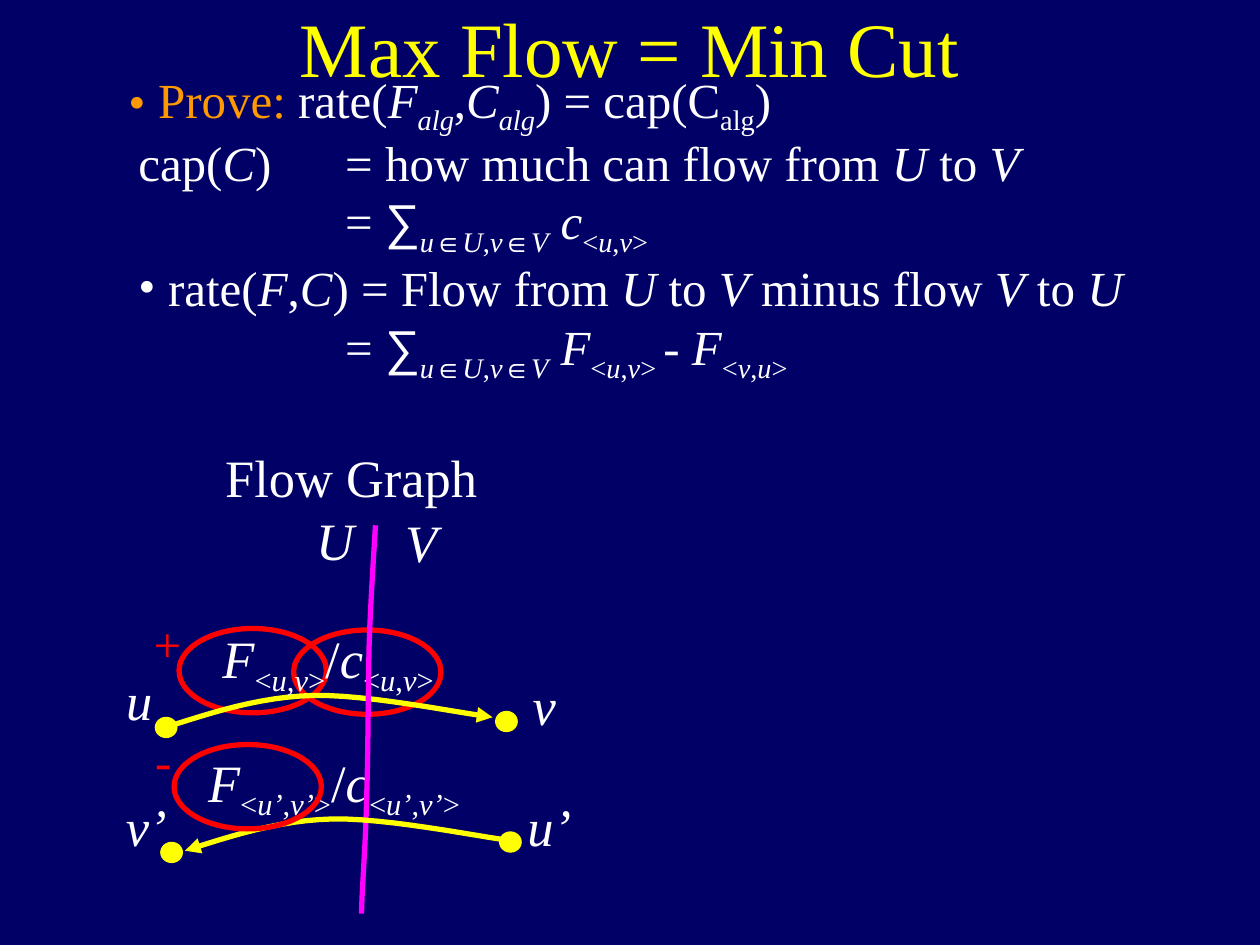
"""Build the slide on the proof that maximum flow equals minimum cut."""
from dataclasses import dataclass
from typing import Optional

import pptx
import pptx.dml.color
import pptx.enum.shapes
import pptx.enum.text
import pptx.oxml
import pptx.oxml.ns
import pptx.util
from lxml import etree
from pptx.util import Cm

COLORS = {
    "background": "000066",
    "text": "FFFFFF",
    "flow": "FFFF00",
    "accent": "FF9900",
    "mark": "FF0000",
    "cut": "FF00FF",
}
SERIF, SYMBOL = "Times New Roman", "Arial"
ALIGN = pptx.enum.text.PP_ALIGN
BREAK = "\n"
RING_SIZE = (2.97, 1.7)
DOT_SIZE = (0.46, 0.43)
ARC = [(0.94, -0.3), (1.88, -0.61), (2.97, -0.64), (4.06, -0.66), (5.84, -0.3), (6.58, -0.2)]
CUT_START = (7.29, 18.42)
CUT = [(0, -0.39), (0.08, -1.35), (0.1, -2.24), (0.13, -3.13), (0.13, -4.09),
       (0.15, -5.34), (0.18, -6.28), (0.25, -7.32), (0.28, -7.83)]


@dataclass
class Piece:
    text: str
    italic: bool = False
    sub: bool = False
    font: str = SERIF
    color: str = "text"


@dataclass
class Line:
    pieces: list[Piece]
    bullet: Optional[str] = None
    tab: Optional[float] = None


@dataclass
class Box:
    left: float
    top: float
    width: float
    height: float
    lines: list[Line]
    size: int = 30
    align: ALIGN = ALIGN.CENTER
    wrap: bool = False


@dataclass
class FlowEdge:
    start: tuple[float, float]
    dots: list[tuple[float, float]]
    names: list[Box]
    arrow_end: str


def var(text: str) -> Piece:
    return Piece(text, italic=True)


def subvar(text: str) -> Piece:
    return Piece(text, italic=True, sub=True)


def subscript(text: str) -> Piece:
    return Piece(text, sub=True)


def on_edge(symbol: str, source: str, target: str, closing: str = ">") -> list[Piece]:
    return [var(symbol), subscript("<"), subvar(source), subscript(","),
            subvar(target), subscript(closing)]


def sum_over_cut() -> list[Piece]:
    member = Piece("∈", sub=True, font=SYMBOL)
    return [Piece("\t= "), Piece("∑", font=SYMBOL), subvar("u"), member, subvar("U"),
            subscript(","), subvar("v"), member, subvar("V"), var(" ")]


def flow_over_capacity(source: str, target: str) -> list[Line]:
    return [Line(on_edge("F", source, target) + [Piece("/")] + on_edge("c", source, target))]


def name(left: float, top: float, width: float, text: str) -> Box:
    return Box(left, top, width, 1.52, [Line([var(text)])])


def sign(left: float, top: float, width: float, text: str) -> Box:
    return Box(left, top, width, 1.45, [Line([Piece(text, color="mark")])], 28)


def rgb(color: str) -> pptx.dml.color.RGBColor:
    return pptx.dml.color.RGBColor.from_string(COLORS[color])


def format_paragraph(paragraph, line: Line) -> None:
    properties = paragraph._p.get_or_add_pPr()
    qn = pptx.oxml.ns.qn
    if line.bullet:
        properties.set("marL", str(Cm(0.6)))
        properties.set("indent", str(-Cm(0.6)))
        bullet_color = etree.SubElement(properties, qn("a:buClr"))
        etree.SubElement(bullet_color, qn("a:srgbClr"), val=COLORS[line.bullet])
        etree.SubElement(properties, qn("a:buFont"), typeface=SERIF)
        etree.SubElement(properties, qn("a:buChar"), char="•")
    if line.tab:
        tabs = etree.SubElement(properties, qn("a:tabLst"))
        etree.SubElement(tabs, qn("a:tab"), pos=str(Cm(line.tab)), algn="l")


def add_text(slide, box: Box) -> None:
    textbox = slide.shapes.add_textbox(Cm(box.left), Cm(box.top), Cm(box.width), Cm(box.height))
    frame = textbox.text_frame
    frame.word_wrap = box.wrap
    frame.auto_size = pptx.enum.text.MSO_AUTO_SIZE.SHAPE_TO_FIT_TEXT
    if box.align == ALIGN.CENTER:
        frame.margin_left = frame.margin_right = Cm(0.1)
    for index, line in enumerate(box.lines):
        paragraph = frame.add_paragraph() if index else frame.paragraphs[0]
        format_paragraph(paragraph, line)
        paragraph.alignment = box.align
        for piece in line.pieces:
            if piece.text == BREAK:
                paragraph.add_line_break()
                continue
            run = paragraph.add_run()
            run.text = piece.text
            run.font.size = pptx.util.Pt(box.size)
            run.font.name = piece.font
            run.font.italic = piece.italic
            run.font.color.rgb = rgb(piece.color)
            if piece.sub:
                run._r.get_or_add_rPr().set("baseline", "-25000")


def add_ellipse(slide, corner: tuple[float, float], size: tuple[float, float], filled: bool) -> None:
    oval = pptx.enum.shapes.MSO_SHAPE.OVAL
    ellipse = slide.shapes.add_shape(oval, *map(Cm, corner), *map(Cm, size))
    ellipse.shadow.inherit = False
    if filled:
        ellipse.fill.solid()
        ellipse.fill.fore_color.rgb = rgb("flow")
        ellipse.line.fill.background()
    else:
        ellipse.fill.background()
        ellipse.line.color.rgb = rgb("mark")
        ellipse.line.width = pptx.util.Pt(3)


def bezier(a: float, b: float, c: float, d: float, t: float) -> float:
    return (1 - t) ** 3 * a + 3 * (1 - t) ** 2 * t * b + 3 * (1 - t) * t ** 2 * c + t ** 3 * d


def add_curve(slide, start: tuple[float, float], offsets: list[tuple[float, float]],
              color: str, arrow_end: Optional[str] = None, steps: int = 12) -> None:
    controls = [start] + [(start[0] + dx, start[1] + dy) for dx, dy in offsets]
    points = [
        tuple(Cm(bezier(*axis, step / steps)) for axis in zip(*controls[first:first + 4]))
        for first in range(0, len(offsets), 3)
        for step in range(1, steps + 1)
    ]
    builder = slide.shapes.build_freeform(Cm(start[0]), Cm(start[1]))
    builder.add_line_segments(points, close=False)
    curve = builder.convert_to_shape()
    curve.shadow.inherit = False
    curve.fill.background()
    curve.line.color.rgb = rgb(color)
    curve.line.width = pptx.util.Pt(3)
    if arrow_end:
        etree.SubElement(curve.line._get_or_add_ln(), pptx.oxml.ns.qn(arrow_end), type="triangle")


def add_flow_edge(slide, edge: FlowEdge) -> None:
    for corner in edge.dots:
        add_ellipse(slide, corner, DOT_SIZE, True)
    add_curve(slide, edge.start, ARC, "flow", edge.arrow_end)
    for box in edge.names:
        add_text(slide, box)


def main() -> None:
    deck = pptx.Presentation()
    deck.slide_width, deck.slide_height = Cm(25.4), Cm(19.05)
    slide = deck.slides.add_slide(deck.slide_layouts[6])
    slide.background.fill.solid()
    slide.background.fill.fore_color.rgb = rgb("background")

    capacity = [Piece("cap("), var("C"), Piece(")\t= how much can flow from "), var("U"),
                Piece(" to "), var("V"), Piece(BREAK), *sum_over_cut(), *on_edge("c", "u", "v")]
    rate = [Piece("rate("), var("F"), Piece(","), var("C"), Piece(") = Flow from "), var("U"),
            Piece(" to "), var("V"), Piece(" minus flow "), var("V"), Piece(" to "), var("U")]
    net_flow = [*sum_over_cut(), *on_edge("F", "u", "v", "> "), Piece("- "), *on_edge("F", "v", "u")]
    claim = [Piece("Prove: ", color="accent"), Piece("rate("), var("F"), subvar("alg"), Piece(","),
             var("C"), subvar("alg"), Piece(") = cap(C"), subscript("alg"), Piece(")")]
    title = [Piece("Max Flow = Min Cut", color="flow")]
    forward = FlowEdge((3.35, 14.66), [(3.12, 14.45), (9.98, 14.33)],
                       [name(2.29, 13.34, 1.04, "u"), name(10.49, 13.44, 0.97, "v")], "a:tailEnd")
    backward = FlowEdge((3.73, 17.15), [(3.23, 16.97), (10.06, 16.76)],
                        [name(2.29, 15.88, 1.32, "v’"), name(10.39, 15.88, 1.37, "u’")], "a:headEnd")

    add_text(slide, Box(2.54, 2.54, 20.96, 5.33,
                        [Line(capacity, tab=4.17), Line(rate, bullet="text"), Line(net_flow, tab=4.17)],
                        28, ALIGN.LEFT, True))
    add_text(slide, Box(1.9, -0.12, 21.59, 1.96, [Line(title)], 44, wrap=True))
    add_text(slide, Box(2.34, 1.27, 22.02, 1.6, [Line(claim, bullet="accent")], 28, ALIGN.LEFT, True))
    for corner in [(5.92, 12.7), (3.61, 12.67)]:
        add_ellipse(slide, corner, RING_SIZE, False)
    add_text(slide, sign(2.84, 12.24, 1.07, "+"))
    add_text(slide, Box(3.94, 14.99, 5.59, 1.7, flow_over_capacity("u’", "v’")))
    add_flow_edge(slide, forward)
    add_text(slide, Box(4.24, 12.5, 4.75, 1.7, flow_over_capacity("u", "v")))
    add_text(slide, Box(4.29, 8.84, 5.59, 1.52, [Line([Piece("Flow Graph")])], align=ALIGN.LEFT))
    add_curve(slide, CUT_START, CUT, "cut")
    add_text(slide, name(6.12, 10.11, 1.27, "U"))
    add_text(slide, name(7.92, 10.16, 1.14, "V"))
    add_flow_edge(slide, backward)
    add_ellipse(slide, (3.51, 15.01), RING_SIZE, False)
    add_text(slide, sign(2.87, 14.61, 0.84, "-"))

    deck.save("out.pptx")


if __name__ == "__main__":
    main()
